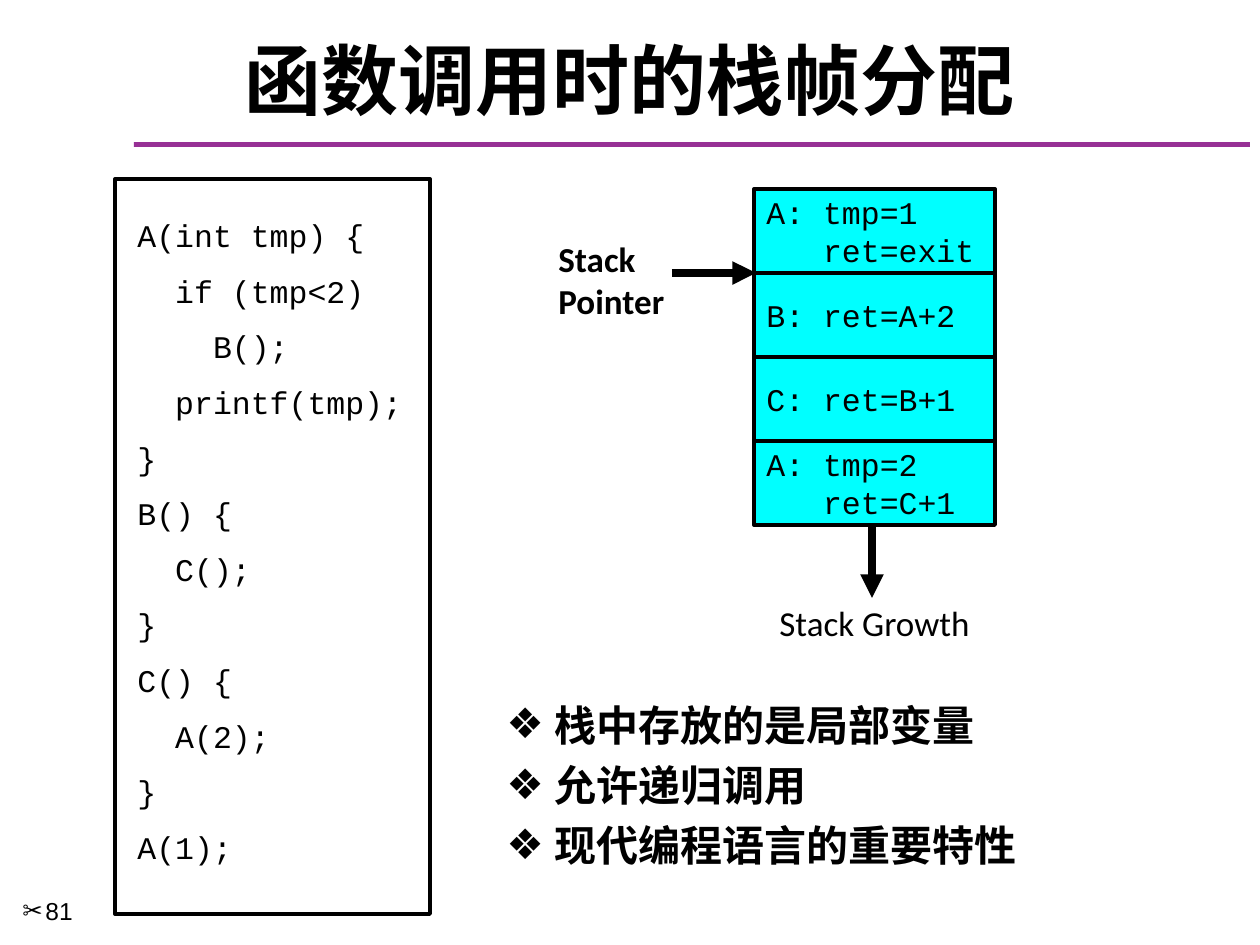
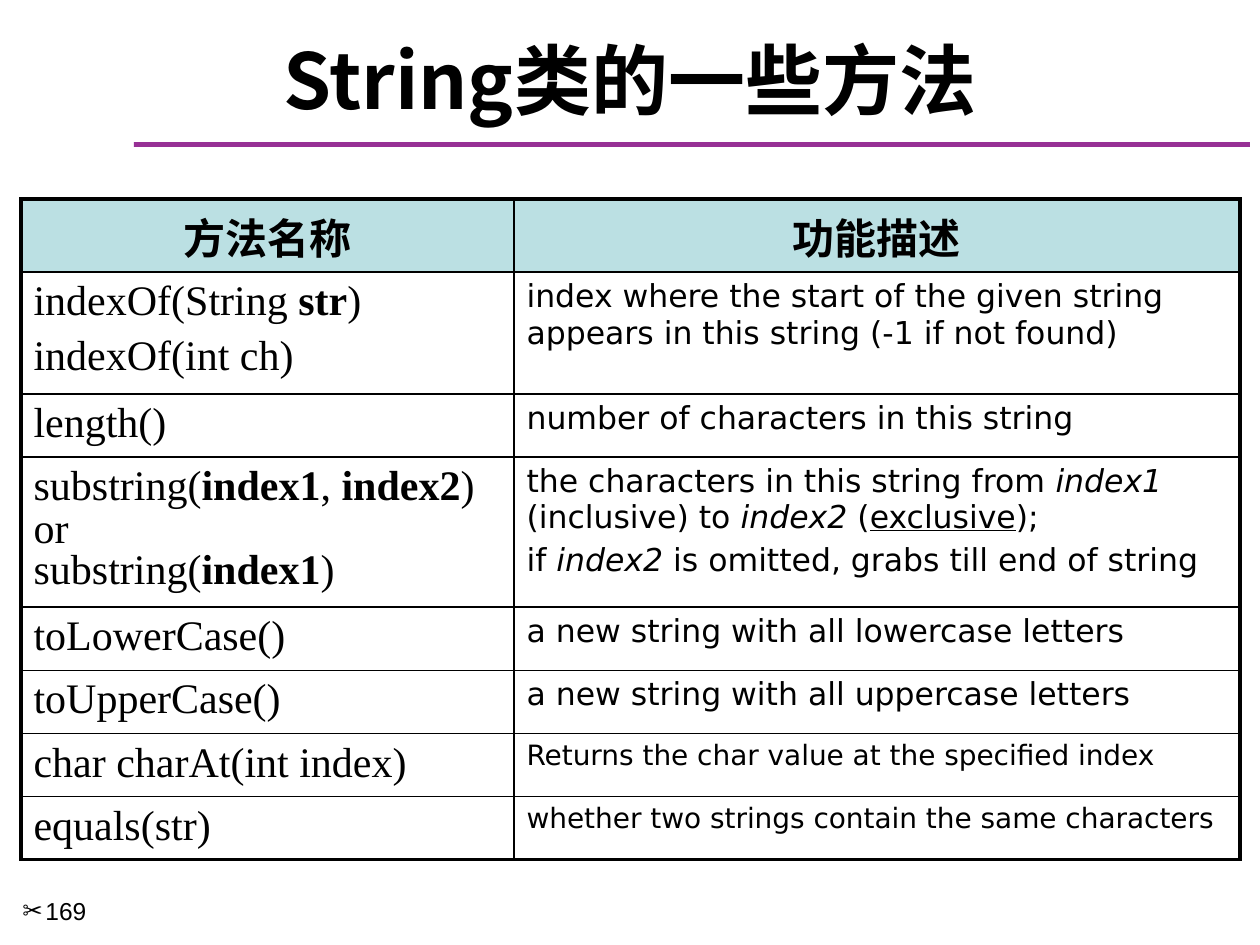
from dataclasses import dataclass

from lxml.etree import SubElement
from pptx import Presentation
from pptx.dml.color import RGBColor
from pptx.enum.shapes import MSO_CONNECTOR, MSO_SHAPE
from pptx.enum.text import MSO_ANCHOR, PP_ALIGN
from pptx.oxml.ns import qn
from pptx.util import Emu, Pt

PX_PER_INCH = 126


def px(length):
    return Emu(round(length * 914400 / PX_PER_INCH))


@dataclass(frozen=True)
class TextStyle:
    font: str
    size: int
    bold: bool = False
    gap: float = 0  # points before each paragraph after the first
    align: PP_ALIGN = PP_ALIGN.LEFT
    bullet: str = ""
    indent: int = 0


class Theme:
    ink = RGBColor(0, 0, 0)
    paper = RGBColor(255, 255, 255)
    rule = RGBColor(0x97, 0x30, 0x95)
    frame = RGBColor(0, 255, 255)
    header = RGBColor(0xBB, 0xE0, 0xE3)

    thin, outline, arrow = Pt(1), Pt(2.25), Pt(4.5)

    title = TextStyle("Noto Sans CJK SC", 44, bold=True, align=PP_ALIGN.CENTER)
    number = TextStyle("Arial", 14, bullet="✂", indent=23)
    code = TextStyle("Courier New", 18, gap=10.2)
    frame_text = TextStyle("Courier New", 18)
    pointer = TextStyle("Calibri", 20, bold=True)
    growth = TextStyle("Calibri", 20, align=PP_ALIGN.CENTER)
    points = TextStyle("DejaVu Sans", 24, bold=True, gap=5.6, bullet="❖", indent=48)
    column_head = TextStyle("Noto Sans CJK SC", 24, bold=True, align=PP_ALIGN.CENTER)
    method = TextStyle("Times New Roman", 24, gap=4.8)
    description = TextStyle("DejaVu Sans", 18, gap=3.6)
    small_description = TextStyle("DejaVu Sans", 16)


CODE = [
    "A(int tmp) {",
    "  if (tmp<2)",
    "    B();",
    "  printf(tmp);",
    "}",
    "B() {",
    "  C();",
    "}",
    "C() {",
    "  A(2);",
    "}",
    "A(1);",
]
STACK_FRAMES = [
    ["A: tmp=1", "   ret=exit"],
    ["B: ret=A+2"],
    ["C: ret=B+1"],
    ["A: tmp=2", "   ret=C+1"],
]
POINTS = ["栈中存放的是局部变量", "允许递归调用", "现代编程语言的重要特性"]

# A paragraph is a string, or a list of strings and (text, emphasis) pairs.
# Each row: height, method paragraphs, description paragraphs, description style
METHODS = [
    (114, [["indexOf(String ", ("str", "bold"), ")"], "indexOf(int ch)"],
     ["index where the start of the given string appears in this string (-1 if not found)"],
     Theme.description),
    (59, ["length()"], ["number of characters in this string"], Theme.description),
    (140, [["substring(", ("index1", "bold"), ", ", ("index2", "bold"), ")"],
           "or",
           ["substring(", ("index1", "bold"), ")"]],
     [["the characters in this string from ", ("index1", "italic"), " (inclusive) to ",
       ("index2", "italic"), " (", ("exclusive", "underline"), ");"],
      ["if ", ("index2", "italic"), " is omitted, grabs till end of string"]],
     Theme.description),
    (59, ["toLowerCase()"], ["a new string with all lowercase letters"], Theme.description),
    (59, ["toUpperCase()"], ["a new string with all uppercase letters"], Theme.description),
    (59, ["char charAt(int index)"], ["Returns the char value at the specified index"],
     Theme.small_description),
    (59, ["equals(str)"], ["whether two strings contain the same characters"],
     Theme.small_description),
]


# Text and shape helpers
def write(text_frame, paragraphs, style, anchor=MSO_ANCHOR.TOP):
    text_frame.word_wrap = True
    text_frame.vertical_anchor = anchor
    for index, content in enumerate(paragraphs):
        paragraph = text_frame.add_paragraph() if index else text_frame.paragraphs[0]
        paragraph.alignment = style.align
        if index and style.gap:
            paragraph.space_before = Pt(style.gap)
        properties = paragraph._p.get_or_add_pPr()
        if style.bullet:
            properties.set("marL", str(px(style.indent)))
            properties.set("indent", str(-px(style.indent)))
            SubElement(properties, qn("a:buFont"), typeface="DejaVu Sans")
            SubElement(properties, qn("a:buChar"), char=style.bullet)
        font = paragraph.font
        font.name, font.size, font.bold = style.font, Pt(style.size), style.bold
        font.color.rgb = Theme.ink
        SubElement(properties.find(qn("a:defRPr")), qn("a:ea"), typeface=style.font)
        for part in [content] if isinstance(content, str) else content:
            text, emphasis = (part, None) if isinstance(part, str) else part
            run = paragraph.add_run()
            run.text = text
            if emphasis:
                setattr(run.font, emphasis, True)


def add_text(slide, box, paragraphs, style, anchor=MSO_ANCHOR.TOP):
    shape = slide.shapes.add_textbox(*map(px, box))
    write(shape.text_frame, paragraphs, style, anchor)


def add_box(slide, box, fill, outlined=True):
    shape = slide.shapes.add_shape(MSO_SHAPE.RECTANGLE, *map(px, box))
    shape.shadow.inherit = False
    shape.fill.solid()
    shape.fill.fore_color.rgb = fill
    if outlined:
        shape.line.color.rgb = Theme.ink
        shape.line.width = Theme.outline
    else:
        shape.line.fill.background()
    return shape


def add_arrow(slide, start, end):
    arrow = slide.shapes.add_connector(MSO_CONNECTOR.STRAIGHT, *map(px, start + end))
    arrow.line.color.rgb = Theme.ink
    arrow.line.width = Theme.arrow
    SubElement(arrow.line._get_or_add_ln(), qn("a:tailEnd"), type="triangle")
    SubElement(arrow._element.spPr, qn("a:effectLst"))


def set_borders(cell, widths):
    properties = cell._tc.get_or_add_tcPr()
    for side in "LRTB":
        line = SubElement(properties, qn(f"a:ln{side}"), w=str(widths[side]))
        fill = SubElement(line, qn("a:solidFill"))
        SubElement(fill, qn("a:srgbClr"), val=str(Theme.ink))


# Parts every slide shares: title, rule and slide number
def add_base_slide(presentation, title, number):
    slide = presentation.slides.add_slide(presentation.slide_layouts[6])
    add_box(slide, (134, 142, 1116, 5), Theme.rule, outlined=False)
    add_text(slide, (21, 32, 1218, 94), [title], Theme.title, MSO_ANCHOR.MIDDLE)
    add_text(slide, (10, 890, 146, 55), [number], Theme.number)
    return slide


# Regions
def add_code_panel(slide, box):
    left, top, width, height = box
    add_box(slide, box, Theme.paper)
    add_text(slide, (left + 10, top + 31, width - 21, height - 58), CODE, Theme.code)


def add_stack(slide, box):
    left, top, width, height = box
    frame_height = height // len(STACK_FRAMES)
    for index, lines in enumerate(STACK_FRAMES):
        shape = add_box(slide, (left, top + index * frame_height, width, frame_height),
                        Theme.frame)
        write(shape.text_frame, lines, Theme.frame_text, MSO_ANCHOR.MIDDLE)

    # Stack pointer at the foot of the first frame
    pointer_y = top + frame_height
    add_text(slide, (left - 208, pointer_y - 42, 151, 97), ["Stack", "Pointer"], Theme.pointer)
    add_arrow(slide, (left - 82, pointer_y), (left + 2, pointer_y))

    # Growth direction below the last frame
    bottom, arrow_x = top + height, left + 118
    add_arrow(slide, (arrow_x, bottom), (arrow_x, bottom + 73))
    add_text(slide, (left - 10, bottom + 70, width + 20, 55), ["Stack Growth"], Theme.growth)


def add_method_table(slide, box):
    left, top, width, method_width = box
    head = (73, ["方法名称"], ["功能描述"], Theme.column_head)
    rows = [head] + METHODS
    total = sum(row[0] for row in rows)
    table = slide.shapes.add_table(len(rows), 2, *map(px, (left, top, width, total))).table
    table.first_row = table.horz_banding = False
    table.columns[0].width = px(method_width)
    table.columns[1].width = px(width - method_width)

    for row, (height, methods, descriptions, style) in enumerate(rows):
        table.rows[row].height = px(height)
        is_head = row == 0
        texts = [(methods, Theme.column_head if is_head else Theme.method),
                 (descriptions, style)]
        outer = {"T": is_head, "B": row == len(rows) - 1}
        for column, (paragraphs, cell_style) in enumerate(texts):
            cell = table.cell(row, column)
            edges = {**outer, "L": column == 0, "R": column == 1}
            set_borders(cell, {side: Theme.outline if edge else Theme.thin
                               for side, edge in edges.items()})
            if is_head:
                cell.fill.solid()
                cell.fill.fore_color.rgb = Theme.header
            else:
                cell.fill.background()
            write(cell.text_frame, paragraphs, cell_style)
            # Tighten the alternatives of a three-line method cell
            if len(paragraphs) == 3:
                for paragraph in cell.text_frame.paragraphs[1:]:
                    paragraph.line_spacing = 0.7


# Slides
def build_stack_slide(presentation):
    slide = add_base_slide(presentation, "函数调用时的栈帧分配", "81")
    add_text(slide, (494, 693, 703, 179), POINTS, Theme.points)
    add_code_panel(slide, (115, 179, 315, 735))
    add_stack(slide, (754, 189, 241, 336))


def build_methods_slide(presentation):
    slide = add_base_slide(presentation, "String类的一些方法", "169")
    add_method_table(slide, (21, 199, 1219, 493))


def main():
    presentation = Presentation()
    presentation.slide_width, presentation.slide_height = px(1260), px(945)
    build_stack_slide(presentation)
    build_methods_slide(presentation)
    presentation.save("out.pptx")


if __name__ == "__main__":
    main()
